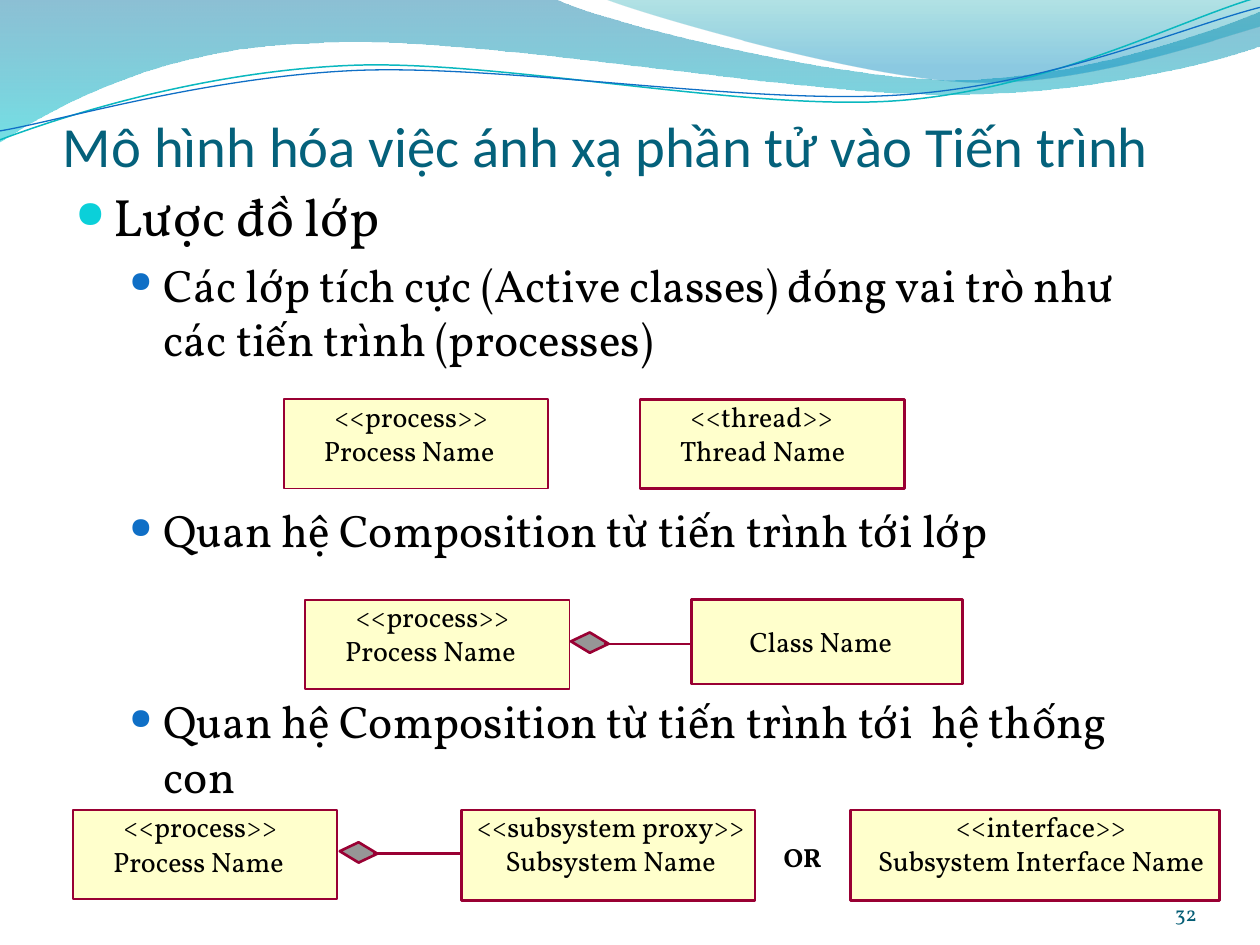
from dataclasses import dataclass

from lxml import etree
from pptx import Presentation
from pptx.dml.color import RGBColor
from pptx.enum.shapes import MSO_CONNECTOR, MSO_SHAPE
from pptx.enum.text import MSO_ANCHOR, PP_ALIGN
from pptx.oxml import parse_xml
from pptx.oxml.ns import nsdecls, qn
from pptx.util import Cm, Pt

LEFT, CENTER, RIGHT = PP_ALIGN.LEFT, PP_ALIGN.CENTER, PP_ALIGN.RIGHT
TOP, BOTTOM = MSO_ANCHOR.TOP, MSO_ANCHOR.BOTTOM
RECTANGLE, STRAIGHT = MSO_SHAPE.RECTANGLE, MSO_CONNECTOR.STRAIGHT


@dataclass(frozen=True)
class Theme:
    heading_font: str = "Calibri"
    body_font: str = "Vollkorn"
    title: str = "04617B"
    text: str = "000000"
    number: str = "045D75"
    bullets: tuple = ("0BD0D9", "0F6FC6")
    wave_lines: tuple = ("0AB8BF", "0F6FC6")
    box_fill: str = "FFFFCC"
    outline: str = "990033"
    diamond: str = "969696"
    title_size: float = 32.4
    body_sizes: tuple = (30, 26)
    label_size: float = 16
    or_size: float = 15
    number_size: float = 12


THEME = Theme()

presentation = Presentation()
presentation.slide_width, presentation.slide_height = Cm(25.4), Cm(19.05)
slide = presentation.slides.add_slide(presentation.slide_layouts[6])
shapes = slide.shapes


def add_freeform(start, segments, closed):
    """Segments of two numbers are straight, segments of six are Bézier curves."""
    builder = shapes.build_freeform(Cm(start[0]), Cm(start[1]))
    builder.add_line_segments([(Cm(s[-2]), Cm(s[-1])) for s in segments], close=closed)
    shape = builder.convert_to_shape()
    shape.shadow.inherit = False
    for line, segment in zip(list(shape.element.iter(qn("a:lnTo"))), segments):
        if len(segment) == 6:
            line.tag = qn("a:cubicBezTo")
            line.clear()
            for x, y in zip(segment[::2], segment[1::2]):
                etree.SubElement(line, qn("a:pt"), x=str(Cm(x) - shape.left),
                                 y=str(Cm(y) - shape.top))
    return shape


def add_text(left, top, width, height, lines, size, color=THEME.text, font=THEME.body_font,
             align=LEFT, anchor=TOP, margins=(0, 0, 0, 0), bold=False):
    frame = shapes.add_textbox(Cm(left), Cm(top), Cm(width), Cm(height)).text_frame
    frame.word_wrap = True
    frame.vertical_anchor = anchor
    (frame.margin_left, frame.margin_top,
     frame.margin_right, frame.margin_bottom) = [Cm(margin) for margin in margins]
    for index, line in enumerate(lines):
        paragraph = frame.add_paragraph() if index else frame.paragraphs[0]
        paragraph.alignment = align
        run = paragraph.add_run()
        run.text = line
        run.font.name = font
        run.font.size = Pt(size)
        run.font.bold = bold
        run.font.color.rgb = RGBColor.from_string(color)
    return frame


# Filled waves: gradient stops are position, colour, opacity in percent
waves = [
    ((0, 0), [(11.18, -0.03), (12.09, 0.43, 16.87, 1.6, 19.25, 1.6),
              (21.67, 1.6, 24.33, 0.66, 25.4, 0.23), (25.43, 0.91),
              (24.97, 1.12, 22.1, 1.93, 18.95, 1.9), (15.8, 1.9, 9.7, 0.71, 6.53, 0.86),
              (3.28, 0.91, 1.17, 2.11, -0.03, 2.87)],
     [(0, "0074A1", 45), (100, "00C6CF", 55)]),
    ((12.17, -0.03), [(12.93, 0.28, 17.32, 1.57, 19.53, 1.65),
                      (21.74, 1.75, 24.41, 0.81, 25.4, 0.53), (25.4, 0)],
     [(0, "00A1A9", 30), (80, "008BBF", 45)]),
]
for start, segments, stops in waves:
    wave = add_freeform(start, segments, True)
    wave.line.fill.background()
    stop_xml = "".join(
        f'<a:gs pos="{position * 1000}"><a:srgbClr val="{color}">'
        f'<a:alpha val="{opacity * 1000}"/></a:srgbClr></a:gs>'
        for position, color, opacity in stops)
    gradient = parse_xml(f'<a:gradFill {nsdecls("a")}><a:gsLst>{stop_xml}</a:gsLst>'
                         '<a:lin ang="5400000" scaled="0"/></a:gradFill>')
    wave.element.spPr.find(qn("a:custGeom")).addnext(gradient)

# Thin wave lines
wave_lines = [
    ((0, 2.82), [(1.22, 2.36, 4.01, 1.45, 7.04, 1.32), (10.03, 1.19, 15.06, 2.26, 18.11, 2.03),
                 (21.16, 1.8, 23.83, 0.38, 25.35, -0.05)], 0.85),
    ((0, 2.64), [(1.19, 2.44, 4.17, 1.55, 7.19, 1.42), (10.24, 1.3, 15.16, 2.13, 18.21, 1.91),
                 (21.23, 1.7, 23.9, 0.53, 25.4, 0.15)], 0.75),
]
for (start, segments, width), color in zip(wave_lines, THEME.wave_lines):
    wave_line = add_freeform(start, segments, False)
    wave_line.fill.background()
    wave_line.line.color.rgb = RGBColor.from_string(color)
    wave_line.line.width = Pt(width)

# Title
add_text(1.27, 1.96, 22.86, 1.65, ["Mô hình hóa việc ánh xạ phần tử vào Tiến trình"],
         THEME.title_size, THEME.title, THEME.heading_font, anchor=BOTTOM,
         margins=(0, 0.13, 0, 0))

# Bulleted text: level, space before in points, wording
bullets = [
    (0, 6, "Lược đồ lớp"),
    (1, 5.2, "Các lớp tích cực (Active classes) đóng vai trò như các tiến trình (processes)"),
    (1, 78, "Quan hệ Composition từ tiến trình tới lớp"),
    (1, 78, "Quan hệ Composition từ tiến trình tới  hệ thống con"),
]
body = add_text(1.27, 3.6, 22.86, 13.97, [wording for _, _, wording in bullets],
                THEME.body_sizes[1], margins=(0.25, 0.12, 0.25, 0.12))
for paragraph, (level, space, _) in zip(body.paragraphs, bullets):
    paragraph.level = level
    paragraph.space_before = Pt(space)
    paragraph.runs[0].font.size = Pt(THEME.body_sizes[level])
    properties = paragraph._p.get_or_add_pPr()
    properties.set("marL", str(Cm((0.76, 1.78)[level])))
    properties.set("indent", str(-Cm((0.76, 0.69)[level])))
    bullet_color = etree.SubElement(properties, qn("a:buClr"))
    etree.SubElement(bullet_color, qn("a:srgbClr"), val=THEME.bullets[level])
    etree.SubElement(properties, qn("a:buSzPct"), val=("72000", "64000")[level])
    etree.SubElement(properties, qn("a:buChar"), char="●")

# Slide number
add_text(22.02, 17.65, 2.11, 1.02, ["32"], THEME.number_size, THEME.number,
         align=RIGHT, anchor=BOTTOM)

# Composition links: diamond centre, then line end
for x, y, line_end in [(11.89, 12.95, 13.94), (7.23, 17.18, 9.3)]:
    diamond = add_freeform((x - 0.38, y - 0.02),
                           [(x, y - 0.2), (x + 0.38, y + 0.03), (x, y + 0.21)], True)
    diamond.fill.solid()
    diamond.fill.fore_color.rgb = RGBColor.from_string(THEME.diamond)
    link = shapes.add_connector(STRAIGHT, Cm(x + 0.28), Cm(y + 0.03), Cm(line_end), Cm(y + 0.03))
    for outlined in (diamond, link):
        outlined.line.color.rgb = RGBColor.from_string(THEME.outline)
        outlined.line.width = Pt(1.5)
    etree.SubElement(link.element.spPr, qn("a:effectLst"))

# Class boxes: place, size, line width, then labels as offset, size, lines, alignment
process_labels = [(0.81, 0.69, 3.71, 0.69, ["Process Name"], LEFT),
                  (1.02, 0, 3.3, 0.69, ["<<process>>"], LEFT)]
thread_labels = [(0.81, 0.69, 3.45, 0.69, ["Thread Name"], LEFT),
                 (1.02, 0, 2.92, 0.69, ["<<thread>>"], LEFT)]
class_labels = [(1.17, 0.51, 3.07, 0.69, ["Class Name"], LEFT)]
subsystem_labels = [(-0.05, 0, 6.12, 1.35, ["<<subsystem proxy>>", "Subsystem Name"], CENTER)]
interface_labels = [(0.43, 0, 6.81, 1.35, ["<<interface>>", "Subsystem Interface Name"], CENTER)]
boxes = [
    (5.72, 8.05, 5.33, 1.8, 1, process_labels),
    (12.9, 8.05, 5.33, 1.8, 1.5, thread_labels),
    (13.94, 12.09, 5.46, 1.7, 1.5, class_labels),
    (6.15, 12.09, 5.33, 1.8, 1, process_labels),
    (9.3, 16.33, 5.92, 1.83, 1.5, subsystem_labels),
    (1.47, 16.33, 5.33, 1.8, 1, process_labels),
    (17.15, 16.33, 7.44, 1.83, 1.5, interface_labels),
]
for left, top, width, height, line_width, labels in boxes:
    box = shapes.add_shape(RECTANGLE, Cm(left), Cm(top), Cm(width), Cm(height))
    box.shadow.inherit = False
    box.fill.solid()
    box.fill.fore_color.rgb = RGBColor.from_string(THEME.box_fill)
    box.line.color.rgb = RGBColor.from_string(THEME.outline)
    box.line.width = Pt(line_width)
    for dx, dy, label_width, label_height, lines, align in labels:
        add_text(left + dx, top + dy, label_width, label_height, lines, THEME.label_size,
                 align=align)

# Alternative between subsystem and interface
add_text(14.81, 16.81, 2.74, 0.94, ["OR"], THEME.or_size, align=CENTER,
         margins=(0.3, 0.15, 0.3, 0.15), bold=True)

presentation.save("out.pptx")
